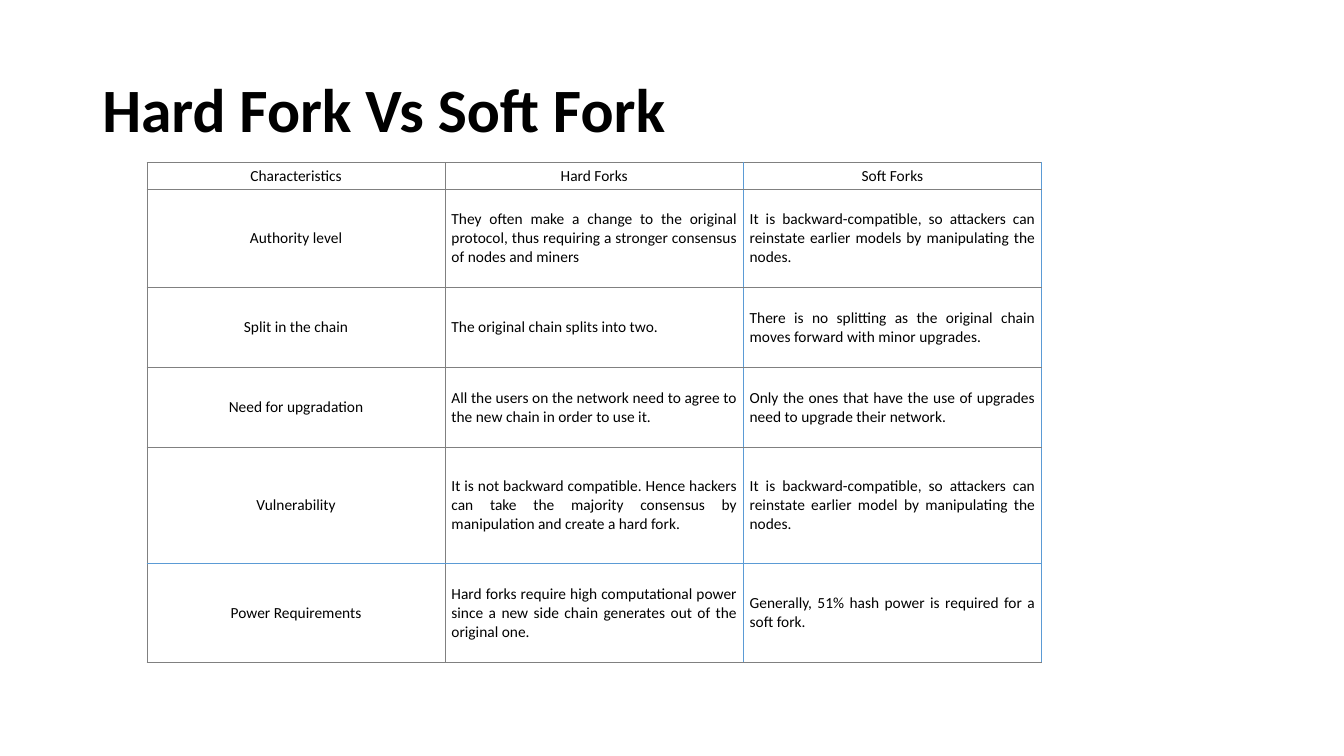
from lxml.etree import SubElement
from pptx import Presentation
from pptx.dml.color import RGBColor
from pptx.enum.text import MSO_ANCHOR, PP_ALIGN
from pptx.oxml.ns import qn
from pptx.util import Pt

PX = 9525
BLACK, GREY, BLUE = "000000", "808080", "5B9BD5"
THIN, THICK = Pt(0.5), Pt(1)


def style(para, size, bold=False):
    para.font.name = "Calibri"
    para.font.size = Pt(size)
    para.font.bold = bold
    para.font.color.rgb = RGBColor.from_string(BLACK)


def border(cell, side, color, width):
    line = SubElement(cell._tc.get_or_add_tcPr(), qn(f"a:ln{side}"), w=str(width))
    fill = SubElement(line, qn("a:solidFill"))
    SubElement(fill, qn("a:srgbClr"), val=color)


deck = Presentation()
deck.slide_width, deck.slide_height = 1280 * PX, 720 * PX
slide = deck.slides.add_slide(deck.slide_layouts[6])

title = slide.shapes.add_textbox(88 * PX, 38 * PX, 1104 * PX, 139 * PX).text_frame
title.word_wrap = True
title.vertical_anchor = MSO_ANCHOR.MIDDLE
title.text = "Hard Fork Vs Soft Fork"
title.paragraphs[0].line_spacing = 0.9
style(title.paragraphs[0], 44, True)

# Row height, then the three cells
rows = [
    (25, "Characteristics", "Hard Forks", "Soft Forks"),
    (94, "Authority level",
     "They often make a change to the original protocol, thus requiring a stronger consensus of nodes and miners",
     "It is backward-compatible, so attackers can reinstate earlier models by manipulating the nodes."),
    (76, "Split in the chain",
     "The original chain splits into two.",
     "There is no splitting as the original chain moves forward with minor upgrades."),
    (76, "Need for upgradation",
     "All the users on the network need to agree to the new chain in order to use it.",
     "Only the ones that have the use of upgrades need to upgrade their network."),
    (111, "Vulnerability",
     "It is not backward compatible. Hence hackers can take the majority consensus by manipulation "
     "and create a hard fork.",
     "It is backward-compatible, so attackers can reinstate earlier model by manipulating the nodes."),
    (94, "Power Requirements",
     "Hard forks require high computational power since a new side chain generates out of the original one.",
     "Generally, 51% hash power is required for a soft fork."),
]
# Line styles from left to right and from top to bottom
uprights = [(GREY, THIN)] * 2 + [(BLUE, THICK)] * 2
levels = [(GREY, THIN)] * 5 + [(BLUE, THIN), (GREY, THIN)]

height = sum(row[0] for row in rows)
table = slide.shapes.add_table(len(rows), 3, 140 * PX, 155 * PX, 852 * PX, height * PX).table
table.first_row = table.horz_banding = False
for col in table.columns:
    col.width = 284 * PX

for r, (tall, *texts) in enumerate(rows):
    table.rows[r].height = tall * PX
    for c, text in enumerate(texts):
        cell = table.cell(r, c)
        cell.text = text
        cell.vertical_anchor = MSO_ANCHOR.MIDDLE
        cell.margin_left = cell.margin_right = 6 * PX
        cell.margin_top = cell.margin_bottom = 3 * PX
        para = cell.text_frame.paragraphs[0]
        para.alignment = PP_ALIGN.CENTER if r == 0 or c == 0 else PP_ALIGN.JUSTIFY
        style(para, 11)
        border(cell, "L", *uprights[c])
        border(cell, "R", *uprights[c + 1])
        border(cell, "T", *levels[r])
        border(cell, "B", *levels[r + 1])
        cell.fill.background()

deck.save("out.pptx")
